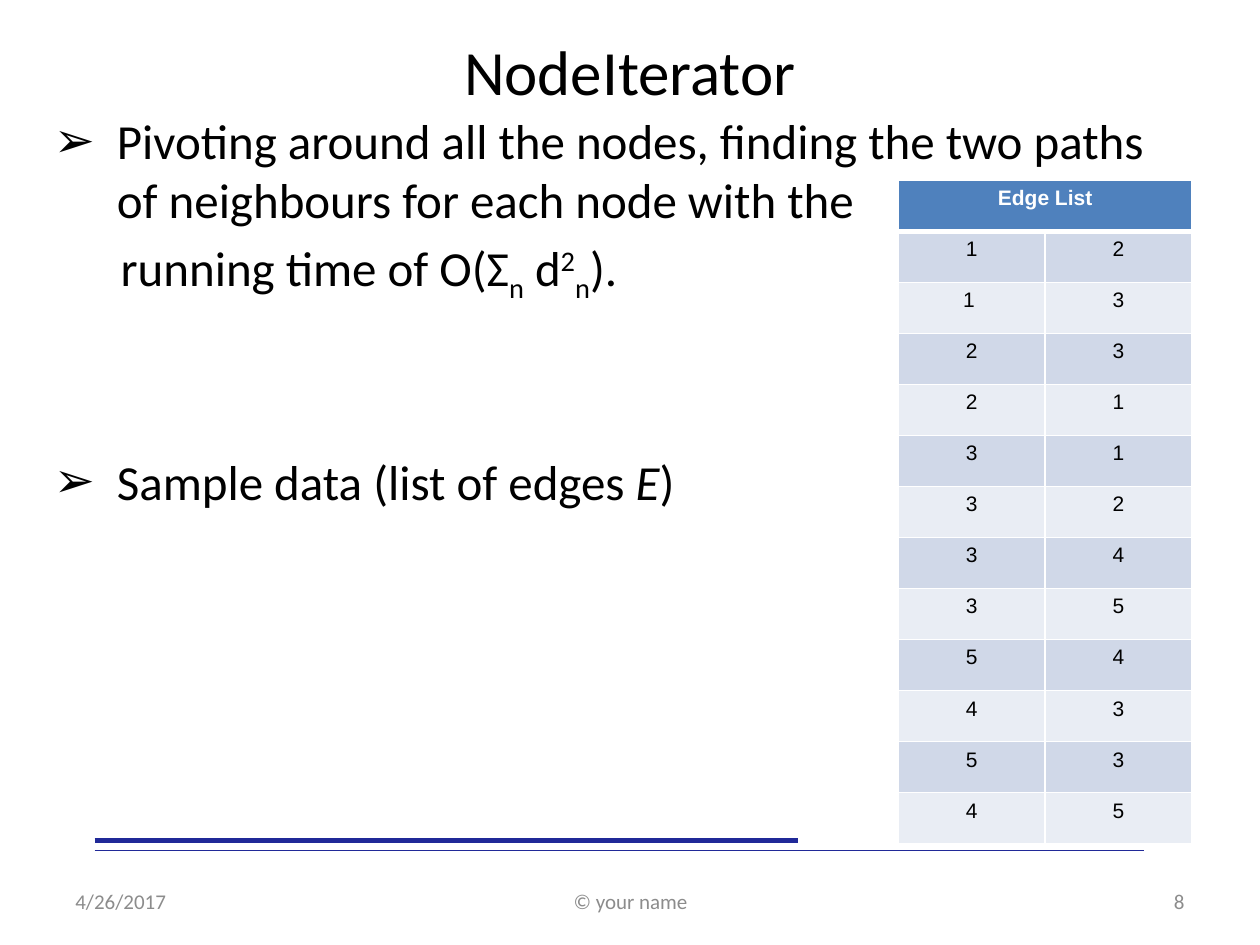
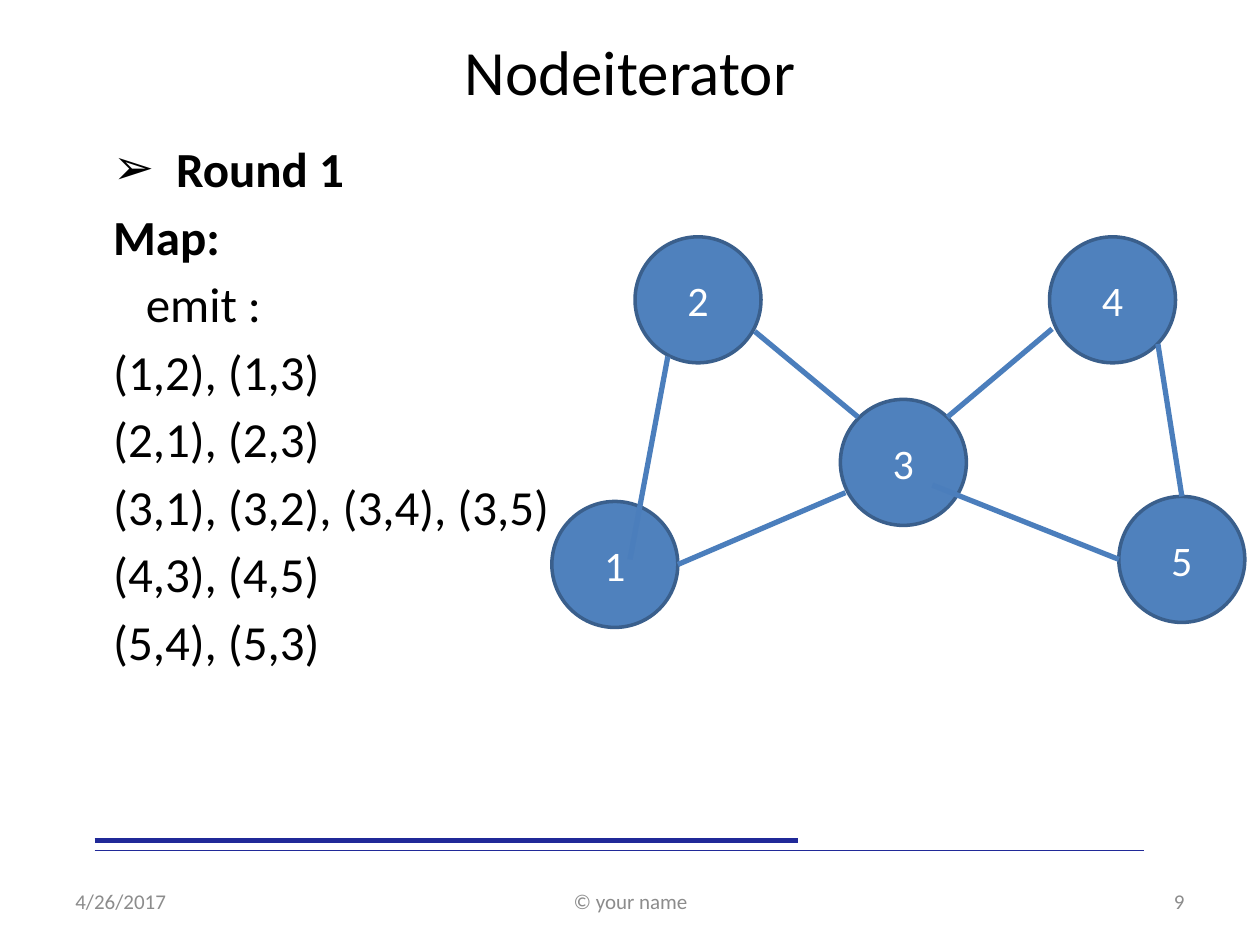
import dataclasses

import lxml.etree
import pptx
import pptx.dml.color
import pptx.enum.shapes
import pptx.enum.text
import pptx.oxml
import pptx.oxml.ns
import pptx.util

PX = 9144  # EMU in one px, 100 px to the inch
ALIGN = pptx.enum.text.PP_ALIGN
ANCHOR = pptx.enum.text.MSO_ANCHOR
SUPERSCRIPT, SUBSCRIPT = 30, -25


@dataclasses.dataclass(frozen=True)
class Theme:
    font: str = "Calibri"
    table_font: str = "Arial"
    text: str = "000000"
    light: str = "FFFFFF"
    muted: str = "8C8C8C"
    rule: str = "202998"
    accent: str = "4F81BD"
    node_line: str = "3A5F8C"
    edge: str = "4B7EBC"
    bands: tuple = ("D0D8E8", "E9EDF4")
    title_size: int = 36
    body_size: int = 28
    node_size: int = 24
    small_size: int = 12
    body_gap: int = 5
    bullet: str = "➢"
    bullet_indent: int = 50


@dataclasses.dataclass
class Run:
    text: str
    bold: bool = False
    italic: bool = False
    baseline: int = 0


@dataclasses.dataclass
class Line:
    """One body paragraph: its runs, bullet, indent in px and space before in points."""
    runs: list
    bullet: bool = False
    indent: int = 0
    gap: int = Theme.body_gap


def color(value):
    return pptx.dml.color.RGBColor.from_string(value)


def add_child(parent, tag, **attributes):
    child = lxml.etree.SubElement(parent, pptx.oxml.ns.qn(tag))
    for name, value in attributes.items():
        child.set(name, str(value))
    return child


class Deck:
    def __init__(self, theme):
        self.theme = theme
        self.presentation = pptx.Presentation()
        self.presentation.slide_width = 1000 * PX
        self.presentation.slide_height = 750 * PX
        self.slide = None

    def new_slide(self, title, number):
        """Start a slide with the shared rules, title and footer."""
        theme = self.theme
        blank = self.presentation.slide_layouts[6]
        self.slide = self.presentation.slides.add_slide(blank)
        self.line((75, 675), (908, 675), theme.rule, 0.75)
        self.line((75, 667), (633, 667), theme.rule, 3)
        self.label((50, 17, 900, 78), title, ALIGN.CENTER, theme.title_size, theme.text)
        for left, width, text, align in (
            (50, 233, "4/26/2017", ALIGN.LEFT),
            (342, 317, "© your name", ALIGN.CENTER),
            (717, 233, str(number), ALIGN.RIGHT),
        ):
            self.label((left, 695, width, 40), text, align, theme.small_size, theme.muted)

    def run(self, paragraph, content, size, text_color, font=None):
        run = paragraph.add_run()
        run.text = content.text
        run.font.name = font or self.theme.font
        run.font.size = pptx.util.Pt(size)
        run.font.bold = content.bold
        run.font.italic = content.italic
        run.font.color.rgb = color(text_color)
        if content.baseline:
            run._r.get_or_add_rPr().set("baseline", str(content.baseline * 1000))

    def text_box(self, box, anchor):
        shape = self.slide.shapes.add_textbox(*(value * PX for value in box))
        shape.text_frame.word_wrap = True
        shape.text_frame.vertical_anchor = anchor
        return shape.text_frame

    def label(self, box, text, align, size, text_color):
        paragraph = self.text_box(box, ANCHOR.MIDDLE).paragraphs[0]
        paragraph.alignment = align
        self.run(paragraph, Run(text), size, text_color)

    def body(self, box, lines):
        theme = self.theme
        frame = self.text_box(box, ANCHOR.TOP)
        for index, line in enumerate(lines):
            paragraph = frame.add_paragraph() if index else frame.paragraphs[0]
            paragraph.space_before = pptx.util.Pt(line.gap)
            properties = paragraph._p.get_or_add_pPr()
            indent = theme.bullet_indent if line.bullet else line.indent
            properties.set("marL", str(indent * PX))
            if line.bullet:
                properties.set("indent", str(-indent * PX))
                add_child(properties, "a:buFont", typeface=theme.table_font)
                add_child(properties, "a:buChar", char=theme.bullet)
            for content in line.runs:
                self.run(paragraph, content, theme.body_size, theme.text)

    def line(self, start, end, line_color, width):
        connector = self.slide.shapes.add_connector(
            pptx.enum.shapes.MSO_CONNECTOR.STRAIGHT,
            *(value * PX for value in (*start, *end)))
        connector.line.color.rgb = color(line_color)
        connector.line.width = pptx.util.Pt(width)
        add_child(connector._element.spPr, "a:effectLst")

    def node(self, name, left, top, diameter=100):
        theme = self.theme
        shape = self.slide.shapes.add_shape(
            pptx.enum.shapes.MSO_SHAPE.OVAL,
            left * PX, top * PX, diameter * PX, diameter * PX)
        shape.shadow.inherit = False
        shape.fill.solid()
        shape.fill.fore_color.rgb = color(theme.accent)
        shape.line.color.rgb = color(theme.node_line)
        shape.line.width = pptx.util.Pt(2)
        shape.text_frame.vertical_anchor = ANCHOR.MIDDLE
        paragraph = shape.text_frame.paragraphs[0]
        paragraph.alignment = ALIGN.CENTER
        self.run(paragraph, Run(name), theme.node_size, theme.light)

    def cell_style(self, cell, fill, top=1, bottom=1):
        """Draw white borders, widths in points, and then the fill."""
        properties = cell._tc.get_or_add_tcPr()
        for side, width in (("L", 1), ("R", 1), ("T", top), ("B", bottom)):
            border = add_child(properties, f"a:ln{side}", w=pptx.util.Pt(width))
            add_child(add_child(border, "a:solidFill"), "a:srgbClr", val=self.theme.light)
        cell.fill.solid()
        cell.fill.fore_color.rgb = color(fill)

    def cell_text(self, cell, content, text_color):
        paragraph = cell.text_frame.paragraphs[0]
        paragraph.alignment = ALIGN.CENTER
        self.run(paragraph, content, self.theme.small_size, text_color,
                 self.theme.table_font)

    def table(self, box, heading, rows):
        """Banded table under one heading that spans all columns."""
        theme = self.theme
        columns = len(rows[0])
        table = self.slide.shapes.add_table(
            len(rows) + 1, columns, *(value * PX for value in box)).table
        table.first_row = table.horz_banding = False
        for column in range(columns):
            self.cell_style(table.cell(0, column), theme.accent, bottom=3)
        table.cell(0, 0).merge(table.cell(0, columns - 1))
        self.cell_text(table.cell(0, 0), Run(heading, bold=True), theme.light)
        for index, row in enumerate(rows):
            band = theme.bands[index % len(theme.bands)]
            for column, value in enumerate(row):
                cell = table.cell(index + 1, column)
                self.cell_style(cell, band, top=1 if index else 3)
                self.cell_text(cell, Run(value), theme.text)


def edge_list_slide(deck):
    deck.new_slide("NodeIterator", 8)
    deck.body((33, 83, 917, 587), [
        Line([Run("Pivoting around all the nodes, finding the two paths "
                  "of neighbours for each node with the")], bullet=True),
        Line([Run("running time of O(Σ"), Run("n", baseline=SUBSCRIPT), Run(" d"),
              Run("2", baseline=SUPERSCRIPT), Run("n", baseline=SUBSCRIPT), Run(").")],
             indent=53),
        Line([Run("Sample data (list of edges "), Run("E", italic=True), Run(")")],
             bullet=True, gap=84),
    ])
    edges = [("1", "2"), ("1 ", "3"), ("2", "3"), ("2", "1"), ("3", "1"), ("3", "2"),
             ("3", "4"), ("3", "5"), ("5", "4"), ("4", "3"), ("5", "3"), ("4", "5")]
    deck.table((713, 143, 233, 527), "Edge List", edges)


def round_one_slide(deck):
    deck.new_slide("Nodeiterator", 9)
    emitted = ["(1,2), (1,3)", "(2,1), (2,3)", "(3,1), (3,2), (3,4), (3,5)",
               "(4,3), (4,5)", "(5,4), (5,3)"]
    deck.body((80, 105, 900, 537), [
        Line([Run("Round 1", bold=True)], bullet=True),
        Line([Run("Map:", bold=True)]),
        Line([Run("emit :")], indent=26),
        *(Line([Run(pairs)]) for pairs in emitted),
    ])
    nodes = {"2": (504, 188), "1": (438, 398), "4": (833, 188),
             "3": (667, 317), "5": (888, 394)}
    for name, corner in nodes.items():
        deck.node(name, *corner)
    for start, end in (
        ((599, 263), (681, 331)),
        ((671, 391), (538, 448)),
        ((835, 261), (752, 331)),
        ((740, 385), (888, 444)),
        ((919, 273), (938, 394)),
        ((530, 283), (500, 444)),
    ):
        deck.line(start, end, deck.theme.edge, 3)


def main():
    deck = Deck(Theme())
    edge_list_slide(deck)
    round_one_slide(deck)
    deck.presentation.save("out.pptx")


if __name__ == "__main__":
    main()
